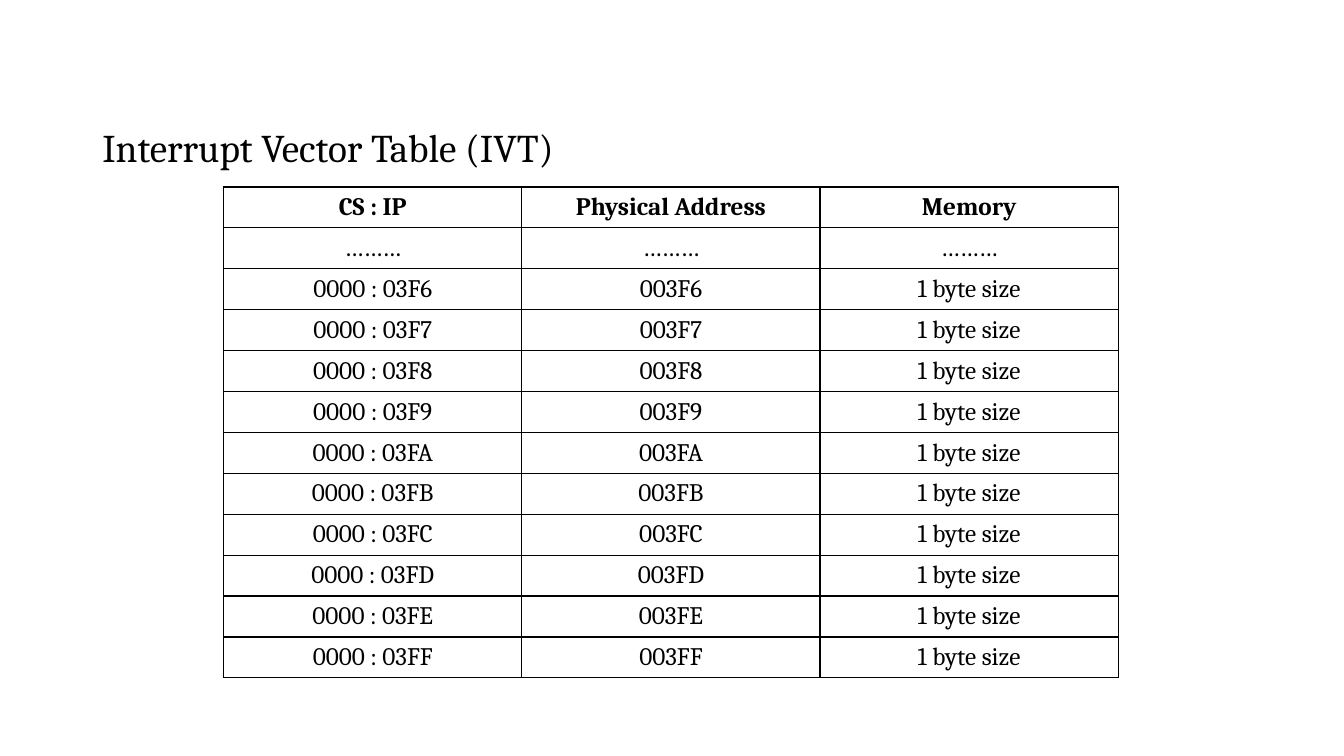
from dataclasses import dataclass

from lxml import etree
from pptx import Presentation
from pptx.dml.color import RGBColor
from pptx.enum.text import MSO_ANCHOR, PP_ALIGN
from pptx.oxml.ns import qn
from pptx.util import Emu, Pt

CENTER, JUSTIFY = PP_ALIGN.CENTER, PP_ALIGN.JUSTIFY
TOP, MIDDLE = MSO_ANCHOR.TOP, MSO_ANCHOR.MIDDLE
EMU_PER_PX = 9525


@dataclass(frozen=True)
class Theme:
    font: str = "Cambria"
    ink: str = "000000"
    paper: str = "FFFFFF"
    title_size: int = 28
    cell_size: int = 18
    border_width: int = 1


@dataclass(frozen=True)
class Box:
    left: int
    top: int
    width: int
    height: int


@dataclass(frozen=True)
class Row:
    cs_ip: str
    address: str
    memory: str
    bold: bool = False


THEME = Theme()
SLIDE_WIDTH, SLIDE_HEIGHT = 1280, 720
TITLE_BOX = Box(88, 90, 1104, 559)
COL_WIDTH, ROW_HEIGHT = 284, 39
TABLE_LEFT, TABLE_TOP = 213, 178
FIRST_ADDRESS, LAST_ADDRESS = 0x3F6, 0x3FF

ROWS = [
    Row("CS : IP", "Physical Address", "Memory", bold=True),
    Row("………", "………", "………"),
    *(Row(f"0000 : {n:04X}", f"{n:05X}", "1 byte size")
      for n in range(FIRST_ADDRESS, LAST_ADDRESS + 1)),
]


def px(n: int) -> Emu:
    return Emu(n * EMU_PER_PX)


def write_text(tf, text: str, *, size: int, align, bold: bool = False,
               line_spacing: float = 1.0, space_before: int = 0) -> None:
    p = tf.paragraphs[0]
    p.alignment = align
    p.line_spacing = line_spacing
    p.space_before = Pt(space_before)
    r = p.add_run()
    r.text = text
    r.font.name = THEME.font
    r.font.size = Pt(size)
    r.font.bold = bold
    r.font.color.rgb = RGBColor.from_string(THEME.ink)


def add_borders(cell) -> None:
    """Outline all four sides; must run before the cell gets its fill."""
    tc_pr = cell._tc.get_or_add_tcPr()
    for side in ("lnL", "lnR", "lnT", "lnB"):
        ln = etree.SubElement(tc_pr, qn(f"a:{side}"), w=str(Pt(THEME.border_width)))
        fill = etree.SubElement(ln, qn("a:solidFill"))
        etree.SubElement(fill, qn("a:srgbClr"), val=THEME.ink)


def add_title(slide, text: str, box: Box) -> None:
    sp = slide.shapes.add_textbox(px(box.left), px(box.top), px(box.width), px(box.height))
    tf = sp.text_frame
    tf.word_wrap = True
    tf.vertical_anchor = TOP
    write_text(tf, text, size=THEME.title_size, align=JUSTIFY,
               line_spacing=1.5, space_before=10)


def fill_cell(cell, text: str, bold: bool) -> None:
    cell.margin_top = cell.margin_bottom = 0
    cell.vertical_anchor = MIDDLE
    add_borders(cell)
    cell.fill.solid()
    cell.fill.fore_color.rgb = RGBColor.from_string(THEME.paper)
    write_text(cell.text_frame, text, size=THEME.cell_size, align=CENTER, bold=bold)


def add_vector_table(slide, rows: list[Row]) -> None:
    table = slide.shapes.add_table(
        len(rows), 3, px(TABLE_LEFT), px(TABLE_TOP),
        px(3 * COL_WIDTH), px(len(rows) * ROW_HEIGHT)).table
    table.first_row = table.horz_banding = False
    for col in table.columns:
        col.width = px(COL_WIDTH)
    for table_row, row in zip(table.rows, rows):
        table_row.height = px(ROW_HEIGHT)
        for cell, text in zip(table_row.cells, (row.cs_ip, row.address, row.memory)):
            fill_cell(cell, text, row.bold)


def main() -> None:
    prs = Presentation()
    prs.slide_width, prs.slide_height = px(SLIDE_WIDTH), px(SLIDE_HEIGHT)
    slide = prs.slides.add_slide(prs.slide_layouts[6])
    add_title(slide, "Interrupt Vector Table (IVT)", TITLE_BOX)
    add_vector_table(slide, ROWS)
    prs.save("out.pptx")


if __name__ == "__main__":
    main()
